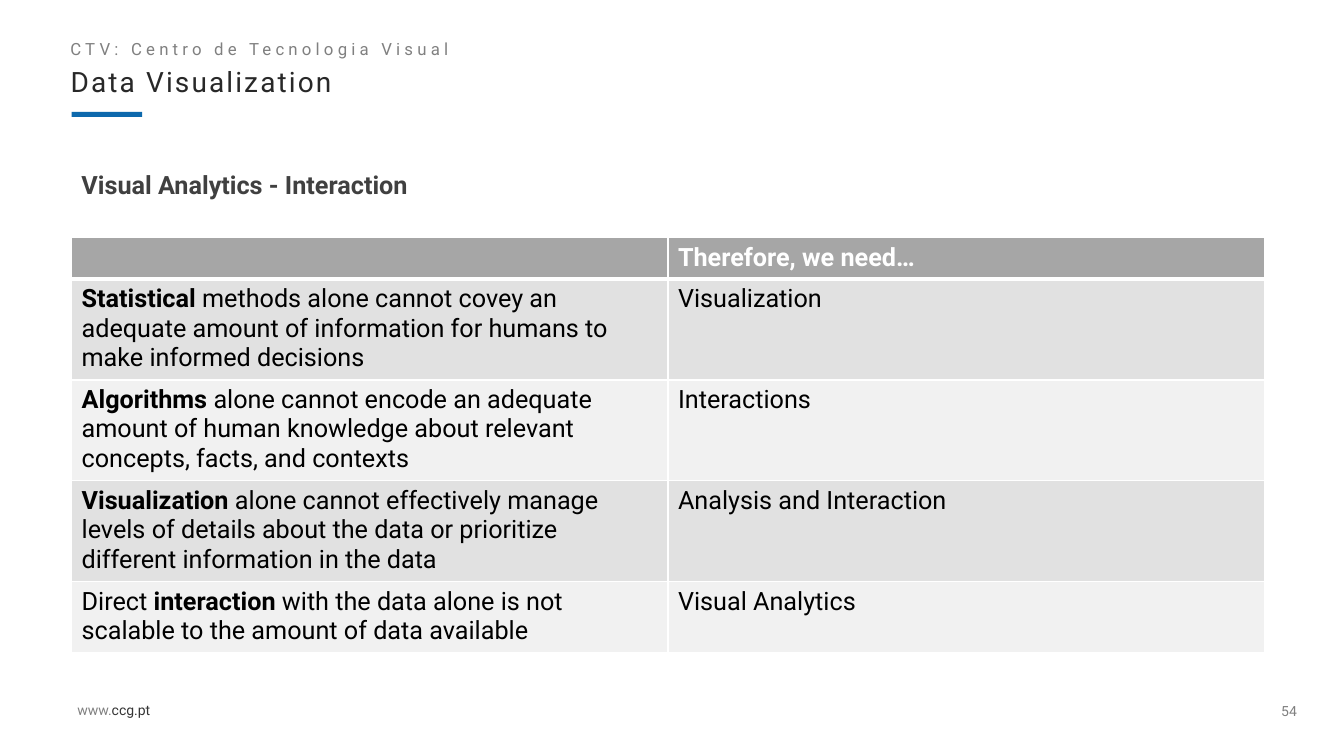
from lxml import etree
from pptx import Presentation
from pptx.dml.color import RGBColor
from pptx.enum.shapes import MSO_SHAPE
from pptx.enum.text import MSO_ANCHOR, PP_ALIGN
from pptx.oxml.ns import qn
from pptx.util import Inches, Pt

FONT = "Roboto"
COLORS = {
    "accent": "0D69AD", "muted": "808080", "address": "353535",
    "section": "282828", "title": "404040", "header": "A6A6A6",
    "odd_row": "E1E1E1", "even_row": "F1F1F1", "white": "FFFFFF", "black": "000000",
}

# Each row: argument as (text, bold) runs, then what is needed
ARGUMENTS = [
    ([("Statistical", True),
      (" methods alone cannot covey an adequate amount of information "
       "for humans to make informed decisions", False)], "Visualization"),
    ([("Algorithms", True),
      (" alone cannot encode an adequate amount of human knowledge about "
       "relevant concepts, facts, and contexts", False)], "Interactions"),
    ([("Visualization", True),
      (" alone cannot effectively manage levels of details about the data "
       "or prioritize different information in the data", False)],
     "Analysis and Interaction"),
    ([("Direct ", False), ("interaction", True),
      (" with the data alone is not scalable to the amount of data available", False)],
     "Visual Analytics"),
]
ROW_HEIGHTS = [0.41, 0.98, 0.98, 0.98, 0.69]


def rgb(name):
    return RGBColor.from_string(COLORS[name])


def add_run(paragraph, text, size, color, bold=False, tracking=0):
    run = paragraph.add_run()
    run.text = text
    run.font.name = FONT
    run.font.size = Pt(size)
    run.font.bold = bold
    run.font.color.rgb = rgb(color)
    if tracking:
        run.font._element.set("spc", str(int(tracking * 100)))


def add_text(slide, box, runs, size, bold=False, tracking=0, margins=True,
             wrap=True, anchor=MSO_ANCHOR.TOP):
    """Add a one-paragraph text box from (text, color) runs."""
    shape = slide.shapes.add_textbox(*map(Inches, box))
    frame = shape.text_frame
    frame.word_wrap = wrap
    frame.vertical_anchor = anchor
    if not margins:
        frame.margin_left = frame.margin_right = 0
        frame.margin_top = frame.margin_bottom = 0
    paragraph = frame.paragraphs[0]
    for text, color in runs:
        add_run(paragraph, text, size, color, bold, tracking)
    return paragraph


def add_accent_bar(slide):
    bar = slide.shapes.add_shape(
        MSO_SHAPE.RECTANGLE, Inches(0.71), Inches(1.11), Inches(0.7), Inches(0.05))
    bar.shadow.inherit = False
    bar.fill.solid()
    bar.fill.fore_color.rgb = rgb("accent")
    bar.line.fill.background()


def set_borders(cell, widths):
    """Draw white cell borders; they must precede the fill in the XML."""
    properties = cell._tc.get_or_add_tcPr()
    for index, (side, width) in enumerate(widths.items()):
        line = etree.Element(qn(f"a:ln{side}"), w=str(Pt(width)))
        fill = etree.SubElement(line, qn("a:solidFill"))
        etree.SubElement(fill, qn("a:srgbClr"), val=COLORS["white"])
        properties.insert(index, line)


def fill_cell(cell, runs, color, fill, top=1, bottom=1):
    cell.fill.solid()
    cell.fill.fore_color.rgb = rgb(fill)
    set_borders(cell, {"L": 1, "R": 1, "T": top, "B": bottom})
    paragraph = cell.text_frame.paragraphs[0]
    for text, bold in runs:
        add_run(paragraph, text, 18, color, bold)


def add_argument_table(slide):
    table = slide.shapes.add_table(
        len(ROW_HEIGHTS), 2, Inches(0.71), Inches(2.36),
        Inches(11.83), Inches(sum(ROW_HEIGHTS))).table
    for row, height in zip(table.rows, ROW_HEIGHTS):
        row.height = Inches(height)

    # Header row with a thick lower rule
    for column, runs in enumerate([[], [("Therefore, we need…", True)]]):
        fill_cell(table.cell(0, column), runs, "white", "header", bottom=3)

    # Banded body rows
    for row, (argument, need) in enumerate(ARGUMENTS, start=1):
        fill = "odd_row" if row % 2 else "even_row"
        top = 3 if row == 1 else 1
        for column, runs in enumerate([argument, [(need, False)]]):
            fill_cell(table.cell(row, column), runs, "black", fill, top=top)


def main():
    presentation = Presentation()
    presentation.slide_width = Inches(13.33)
    presentation.slide_height = Inches(7.5)
    slide = presentation.slides.add_slide(presentation.slide_layouts[6])

    # Heading
    add_text(slide, (0.6, 0.34, 5.23, 0.3),
             [("CTV: Centro de Tecnologia Visual", "muted")], 12, tracking=3)
    add_accent_bar(slide)
    section = add_text(slide, (0.7, 0.68, 9.55, 0.33),
                       [("Data Visualization", "section")], 20,
                       tracking=1.5, margins=False)
    title = add_text(slide, (0.71, 1.66, 11.83, 0.37),
                     [("Visual Analytics - Interaction", "title")], 18,
                     bold=True, anchor=MSO_ANCHOR.BOTTOM)
    section.line_spacing = title.line_spacing = 0.9

    # Content
    add_argument_table(slide)

    # Footer
    add_text(slide, (0.67, 6.91, 0.98, 0.27),
             [("www.", "muted"), ("ccg.pt", "address")], 10, wrap=False)
    number = add_text(slide, (12.55, 6.84, 0.47, 0.43), [("54", "muted")], 10,
                      margins=False, anchor=MSO_ANCHOR.MIDDLE)
    number.alignment = PP_ALIGN.CENTER

    presentation.save("out.pptx")


if __name__ == "__main__":
    main()
